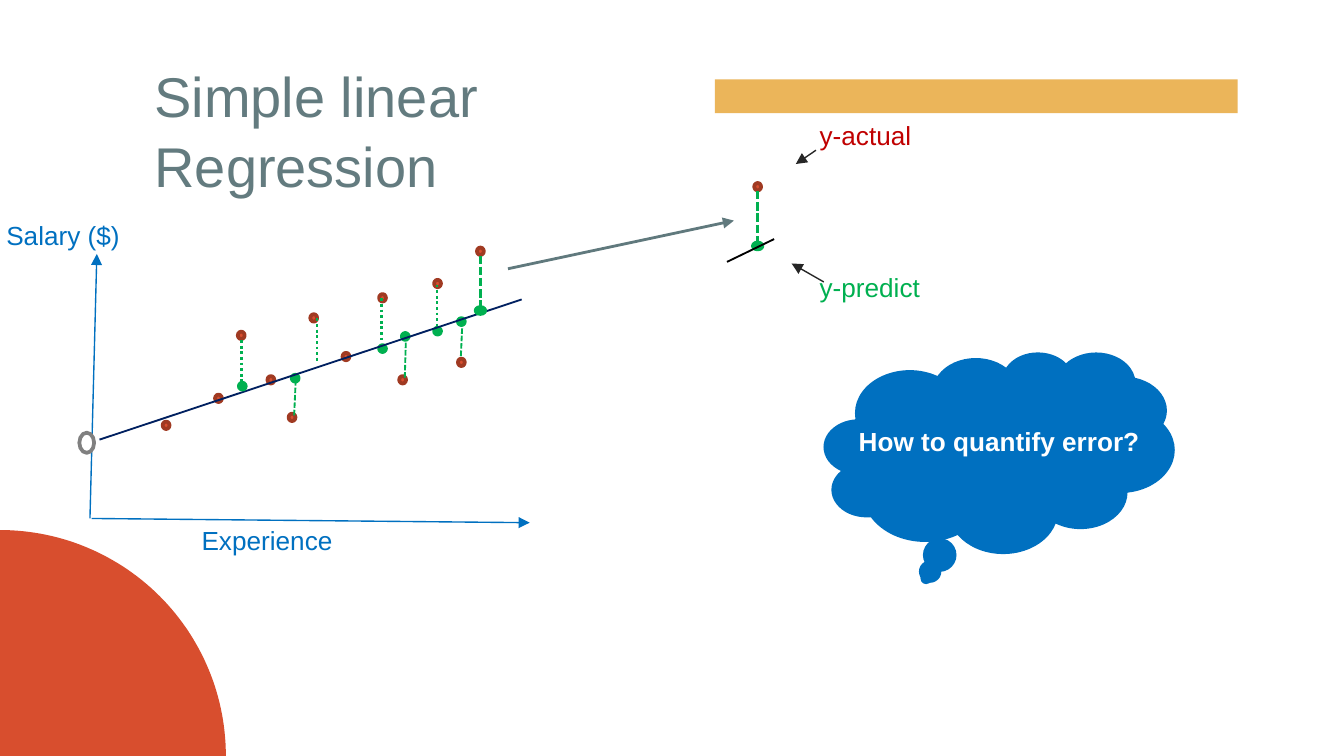
import math

from lxml import etree
from pptx import Presentation
from pptx.dml.color import RGBColor
from pptx.enum import dml, shapes
from pptx.oxml import ns
from pptx.util import Cm, Pt

SLATE = RGBColor(0x63, 0x7B, 0x7F)
ARROW_SLATE = RGBColor(0x60, 0x79, 0x7D)
AMBER = RGBColor(0xEB, 0xB5, 0x5A)
ORANGE = RGBColor(0xD8, 0x4E, 0x2E)
RUST = RGBColor(0xA0, 0x3A, 0x22)
BLUE = RGBColor(0x00, 0x70, 0xC0)
NAVY = RGBColor(0x00, 0x20, 0x60)
GREEN = RGBColor(0x00, 0xB0, 0x50)
RED = RGBColor(0xC0, 0x00, 0x00)
GREY = RGBColor(0x80, 0x80, 0x80)
DARK = RGBColor(0x26, 0x26, 0x26)
BLACK = RGBColor(0, 0, 0)
WHITE = RGBColor(0xFF, 0xFF, 0xFF)

DOTTED = dml.MSO_LINE.ROUND_DOT
DASHED = dml.MSO_LINE.SQUARE_DOT  # "sysDash" in the file format
SLIDE_W, SLIDE_H = 25.4, 14.29
DOT = 0.13
WIDE_DOT = 0.18

# Centres in cm
ACTUAL = [(7.23, 5.63), (6.54, 6.74), (7.61, 7.18), (5.12, 7.18),
          (4.13, 7.53), (3.14, 8.04), (8.27, 5.36), (5.93, 6.01),
          (4.56, 6.34), (5.52, 7.89), (8.72, 6.85)]
PREDICTED = [(7.23, 6.59), (7.66, 6.36), (8.27, 6.26), (5.58, 7.15),
             (8.72, 6.08)]
# Start and end in cm
ERRORS_ABOVE = [((7.21, 5.64), (7.21, 6.48)), ((8.26, 5.38), (8.26, 6.25)),
                ((5.99, 6.02), (5.99, 6.86)), ((4.57, 6.43), (4.57, 7.26))]
ERRORS_BELOW = [((7.65, 7.14), (7.67, 6.45)), ((5.56, 7.85), (5.59, 7.16)),
                ((8.71, 6.73), (8.74, 6.05))]


class Board:
    """Holds the slide and its text style; all lengths are in cm."""

    font = "Arial"
    size = 14

    def __init__(self, slide):
        self.shapes = slide.shapes

    def paint(self, item, fill, line=None):
        item.shadow.inherit = False
        item.fill.solid()
        item.fill.fore_color.rgb = fill
        if line is None:
            item.line.fill.background()
        else:
            item.line.color.rgb = line
            item.line.width = Pt(2)

    def shape(self, kind, x, y, w, h, fill, line=None):
        item = self.shapes.add_shape(kind, Cm(x), Cm(y), Cm(w), Cm(h))
        self.paint(item, fill, line)

    def dot(self, centre, fill, line, w=DOT, h=DOT):
        x, y = centre
        self.shape(shapes.MSO_SHAPE.OVAL, x - w / 2, y - h / 2, w, h, fill, line)

    def actual(self, centre):
        self.dot(centre, ORANGE, RUST, h=0.14)

    def predicted(self, centre, w=DOT):
        self.dot(centre, GREEN, GREEN, w)

    def quarter_disc(self, radius, fill, steps=60):
        """Quarter of a disc around the bottom left corner of the slide."""
        angles = [math.pi / 2 * i / steps for i in range(steps + 1)]
        rim = [(Cm(radius * math.sin(a)), Cm(SLIDE_H - radius * math.cos(a)))
               for a in angles]
        outline = self.shapes.build_freeform(Cm(0), Cm(SLIDE_H))
        outline.add_line_segments(rim, close=True)
        self.paint(outline.convert_to_shape(), fill)

    def line(self, start, end, color, width=1.0, dash=None, arrow=False):
        ends = [Cm(v) for v in (*start, *end)]
        item = self.shapes.add_connector(shapes.MSO_CONNECTOR.STRAIGHT, *ends)
        item.line.color.rgb = color
        item.line.width = Pt(width)
        if dash is not None:
            item.line.dash_style = dash
        if arrow:
            outline = item.line._get_or_add_ln()
            etree.SubElement(outline, ns.qn("a:tailEnd"), type="triangle")
        etree.SubElement(item._element.spPr, ns.qn("a:effectLst"))

    def text(self, words, x, y, w, color, h=0.86, size=size, bold=False,
             inset=0.13, spacing=1.0):
        box = self.shapes.add_textbox(Cm(x), Cm(y), Cm(w), Cm(h))
        frame = box.text_frame
        frame.word_wrap = True
        frame.margin_top = frame.margin_bottom = Cm(inset)
        frame.text = words
        paragraph = frame.paragraphs[0]
        paragraph.line_spacing = spacing
        font = paragraph.runs[0].font
        font.name, font.size, font.bold = self.font, Pt(size), bold
        font.color.rgb = color


def draw_decor(board):
    board.shape(shapes.MSO_SHAPE.RECTANGLE, 13.51, 1.5, 9.88, 0.64, AMBER)
    board.quarter_disc(4.27, ORANGE)
    board.text("Simple linear Regression", 2.67, 0.86, 10.69, SLATE, h=1.6,
               size=30, inset=0.25, spacing=1.04)


def draw_scatter(board):
    board.line((1.73, 9.8), (10.01, 9.88), BLUE, 0.75, arrow=True)
    board.line((1.7, 9.8), (1.83, 4.8), BLUE, 0.75, arrow=True)
    board.text("Experience", 3.56, 9.78, 4.06, BLUE)
    board.text("Salary ($)", -0.13, 4.01, 4.04, BLUE)
    board.dot((1.64, 8.37), WHITE, GREY, 0.28, 0.38)
    for centre in ACTUAL:
        board.actual(centre)
    for start, end in ERRORS_ABOVE:
        board.line(start, end, GREEN, 1.5, DOTTED)
    for start, end in ERRORS_BELOW:
        board.line(start, end, GREEN, 1, DASHED)
    for centre in PREDICTED:
        board.predicted(centre)
    board.line((1.88, 8.31), (9.86, 5.66), NAVY)
    board.predicted((4.58, 7.3))


def draw_error_pair(board, x, y):
    """One actual point at x, y with its predicted point below."""
    board.actual((x, y))
    board.predicted((x, y + 1.12), WIDE_DOT)
    board.line((x, y + 0.08), (x, y + 1.18), GREEN, 1.5, DASHED)


def draw_detail(board):
    board.line((9.6, 5.08), (13.87, 4.17), ARROW_SLATE, 1.5, arrow=True)
    draw_error_pair(board, 14.32, 3.53)
    board.line((14.63, 4.52), (13.74, 4.95), BLACK)
    board.text("y-actual", 15.24, 2.13, 5, RED)
    board.line((15.42, 2.84), (15.04, 3.1), DARK, 0.75, arrow=True)
    board.text("y-predict", 15.24, 5, 2.49, GREEN)
    board.line((15.57, 5.33), (14.96, 4.98), DARK, 0.75, arrow=True)


def draw_question(board):
    board.shape(shapes.MSO_SHAPE.CLOUD_CALLOUT, 15.57, 6.65, 6.63, 3.81, BLUE)
    board.text("How to quantify error?", 15.98, 7.92, 5.97, WHITE, bold=True)


def main():
    deck = Presentation()
    deck.slide_width, deck.slide_height = Cm(SLIDE_W), Cm(SLIDE_H)
    board = Board(deck.slides.add_slide(deck.slide_layouts[6]))
    draw_decor(board)
    draw_scatter(board)
    draw_error_pair(board, 9.08, 4.75)
    draw_detail(board)
    draw_question(board)
    deck.save("out.pptx")


if __name__ == "__main__":
    main()
